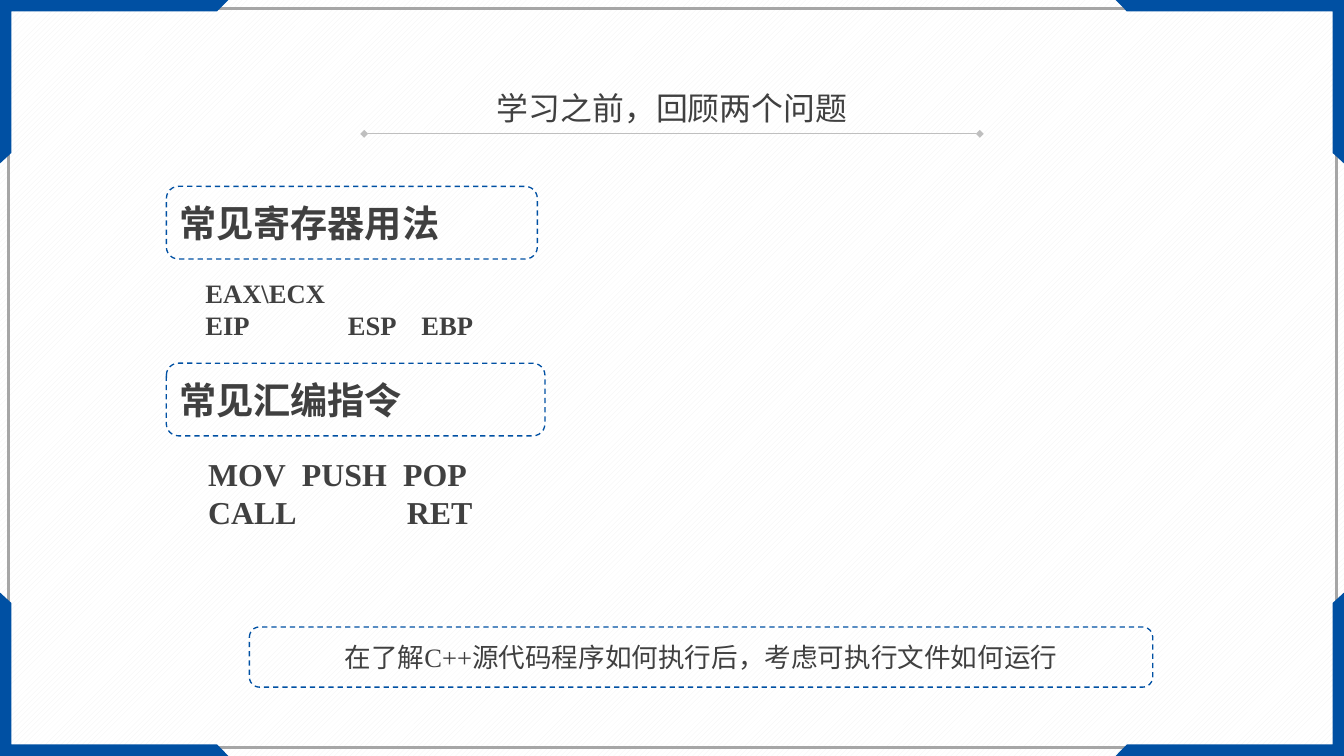
from dataclasses import dataclass
from itertools import product

from lxml import etree
from pptx import Presentation
from pptx.dml.color import RGBColor
from pptx.enum.dml import MSO_LINE, MSO_PATTERN
from pptx.enum.shapes import MSO_CONNECTOR, MSO_SHAPE
from pptx.enum.text import MSO_ANCHOR, MSO_AUTO_SIZE, PP_ALIGN
from pptx.oxml.ns import qn
from pptx.slide import Slide
from pptx.util import Inches, Pt

DASH = MSO_LINE.DASH
STRIPE = MSO_PATTERN.WIDE_UPWARD_DIAGONAL
STRAIGHT = MSO_CONNECTOR.STRAIGHT
RECT, ROUND = MSO_SHAPE.RECTANGLE, MSO_SHAPE.ROUNDED_RECTANGLE
TOP, MIDDLE = MSO_ANCHOR.TOP, MSO_ANCHOR.MIDDLE
GROW = MSO_AUTO_SIZE.SHAPE_TO_FIT_TEXT
LEFT, CENTER = PP_ALIGN.LEFT, PP_ALIGN.CENTER

WIDTH, HEIGHT = Inches(14.06), Inches(7.91)
HAN, LATIN = "Noto Sans CJK SC", "Times New Roman"
COLORS = {"blue": "0050A3", "text": "404040", "frame": "A6A6A6",
          "rule": "BFBFBF", "stripe": "F2F2F2", "paper": "FFFFFF"}
CORNER = [(0, 0), (17, 0), (16.15, 1.52), (0.85, 1.52), (0.85, 20.23), (0, 21.62)]


@dataclass(frozen=True)
class Line:
    """One line of text with its tab stops in percent of the slide width."""
    text: str
    tabs: tuple[float, ...] = ()


@dataclass(frozen=True)
class Block:
    """A text block with its place in percent of the slide size."""
    left: float
    top: float
    width: float
    height: float
    size: int
    lines: tuple[Line, ...]
    font: str = LATIN
    bold: bool = False
    align: PP_ALIGN = LEFT
    boxed: bool = False


BLOCKS = [
    Block(24.68, 11.13, 50.64, 6.32, 24, (Line("学习之前，回顾两个问题"),),
          font=HAN, align=CENTER),
    Block(18.56, 82.93, 67.21, 7.96, 20,
          (Line("在了解C++源代码程序如何执行后，考虑可执行文件如何运行"),),
          align=CENTER, boxed=True),
    Block(12.38, 24.65, 27.6, 9.61, 28, (Line("常见寄存器用法"),),
          font=HAN, bold=True, boxed=True),
    Block(14.58, 36.03, 75.18, 9.73, 20,
          (Line("EAX\\ECX"), Line("EIP\tESP\tEBP", (10.6, 16.07))), bold=True),
    Block(12.38, 48.04, 28.17, 9.61, 28, (Line("常见汇编指令"),),
          bold=True, boxed=True),
    Block(14.79, 59.54, 76.88, 11.5, 24,
          (Line("MOV\tPUSH\tPOP", (6.97, 14.51)), Line("CALL\tRET", (14.79,))),
          bold=True),
]


def color(name: str) -> RGBColor:
    """Look up a colour by its name."""
    return RGBColor.from_string(COLORS[name])


def across(share: float) -> int:
    """Turn a percentage of the slide width into a length."""
    return round(WIDTH * share / 100)


def down(share: float) -> int:
    """Turn a percentage of the slide height into a length."""
    return round(HEIGHT * share / 100)


def place(left: float, top: float, width: float, height: float) -> tuple[int, ...]:
    """Turn four percentages into a position and a size."""
    return across(left), down(top), across(width), down(height)


def draw_frame(slide: Slide) -> None:
    """Draw the grey frame and its four mirrored corners."""
    frame = slide.shapes.add_shape(RECT, *place(0.64, 1.14, 98.79, 97.72))
    frame.shadow.inherit = False
    frame.fill.background()
    frame.line.color.rgb = color("frame")
    frame.line.width = Pt(2)
    for right, low in product((False, True), repeat=2):
        points = [(across(100 - x if right else x), down(100 - y if low else y))
                  for x, y in CORNER]
        path = slide.shapes.build_freeform(*points[0])
        path.add_line_segments(points[1:], close=True)
        corner = path.convert_to_shape()
        corner.shadow.inherit = False
        corner.fill.solid()
        corner.fill.fore_color.rgb = color("blue")
        corner.line.fill.background()


def draw_rule(slide: Slide) -> None:
    """Draw the title rule with a diamond at each end."""
    rule = slide.shapes.add_connector(
        STRAIGHT, across(27.1), down(17.7), across(72.9), down(17.7))
    rule.line.color.rgb = color("rule")
    rule.line.width = Pt(0.5)
    stroke = rule.line._get_or_add_ln()
    for end in ("a:headEnd", "a:tailEnd"):
        etree.SubElement(stroke, qn(end), type="diamond")
    etree.SubElement(rule._element.spPr, qn("a:effectLst"))


def draw_block(slide: Slide, block: Block) -> None:
    """Draw a text block, with a dashed outline if it is boxed."""
    spot = place(block.left, block.top, block.width, block.height)
    if block.boxed:
        shape = slide.shapes.add_shape(ROUND, *spot)
        shape.shadow.inherit = False
        shape.fill.background()
        shape.line.color.rgb = color("blue")
        shape.line.width = Pt(1)
        shape.line.dash_style = DASH
    else:
        shape = slide.shapes.add_textbox(*spot)
        shape.text_frame.auto_size = GROW
    frame = shape.text_frame
    frame.word_wrap = True
    frame.vertical_anchor = MIDDLE if block.boxed else TOP
    for index, line in enumerate(block.lines):
        para = frame.add_paragraph() if index else frame.paragraphs[0]
        para.alignment = block.align
        if line.tabs:
            stops = etree.SubElement(para._p.get_or_add_pPr(), qn("a:tabLst"))
            for tab in line.tabs:
                etree.SubElement(stops, qn("a:tab"), pos=str(across(tab)), algn="l")
        run = para.add_run()
        run.text = line.text
        run.font.size = Pt(block.size)
        run.font.bold = block.bold
        run.font.color.rgb = color("text")
        run.font.name = block.font
        etree.SubElement(run.font._element, qn("a:ea"), typeface=HAN)


def main() -> None:
    """Build the review slide and save it."""
    deck = Presentation()
    deck.slide_width, deck.slide_height = WIDTH, HEIGHT
    slide = deck.slides.add_slide(deck.slide_layouts[6])
    back = slide.background.fill
    back.patterned()
    back.pattern = STRIPE
    back.fore_color.rgb = color("stripe")
    back.back_color.rgb = color("paper")
    draw_frame(slide)
    draw_rule(slide)
    for block in BLOCKS:
        draw_block(slide, block)
    deck.save("out.pptx")


if __name__ == "__main__":
    main()
